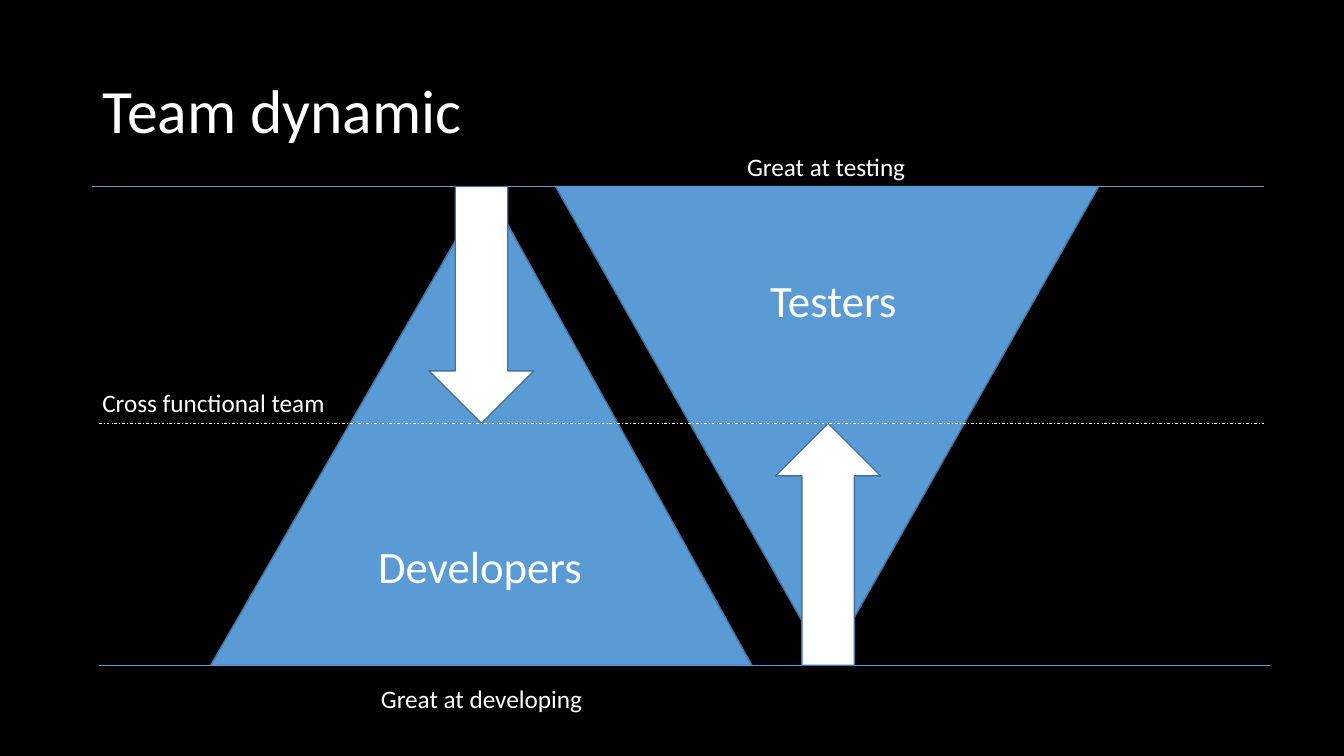
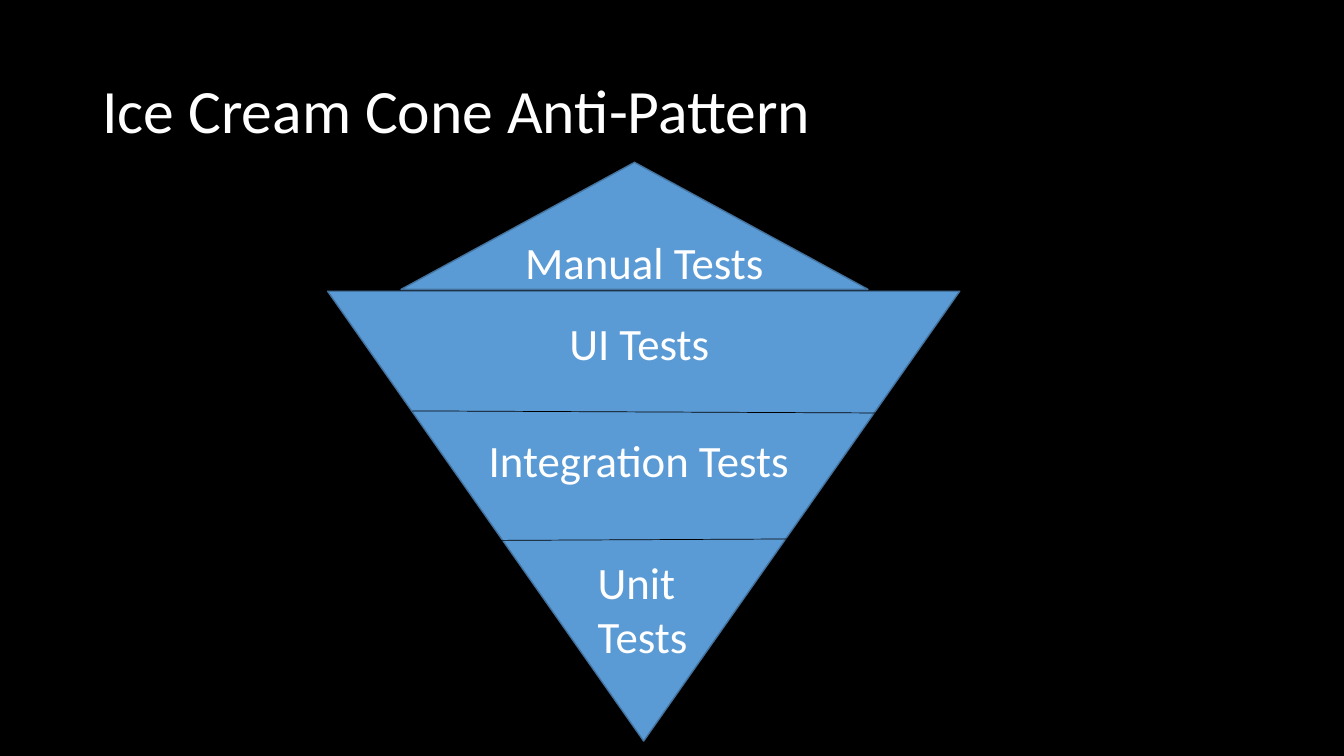
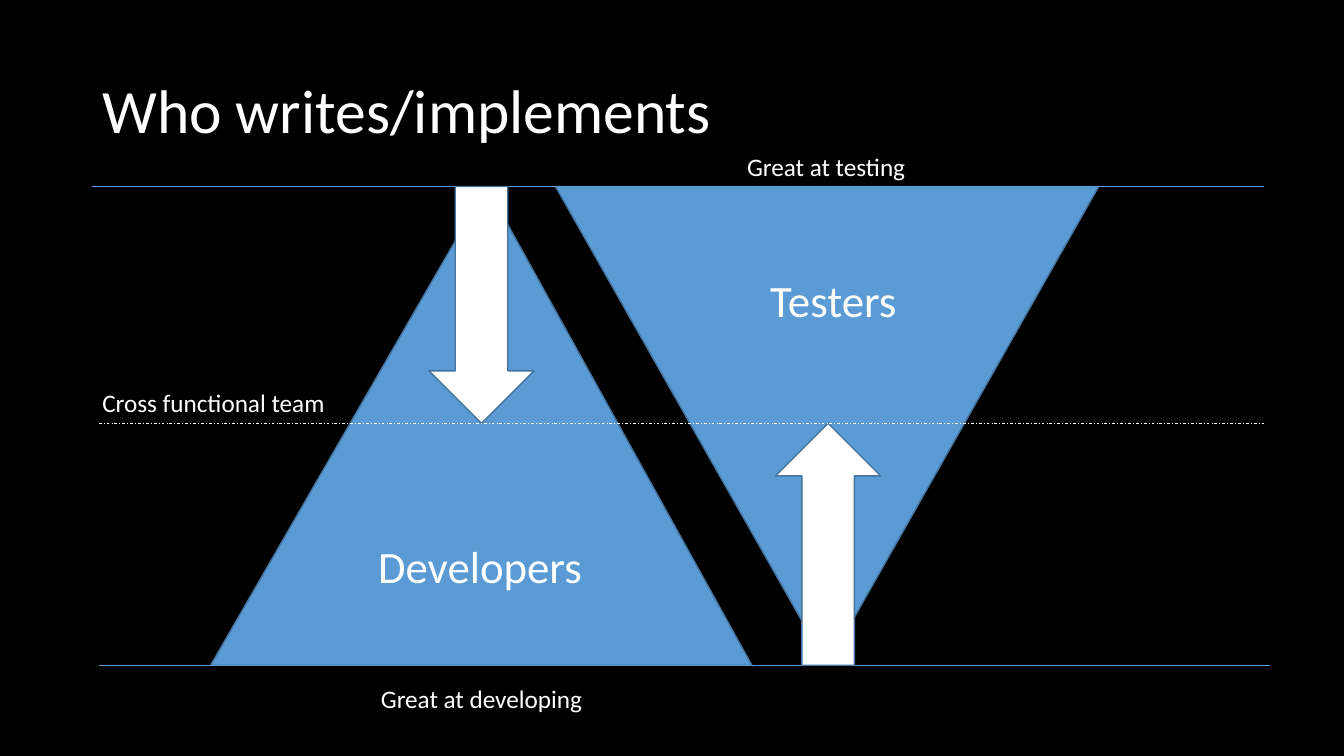
import pptx
import pptx.util
import pptx.dml.color
import pptx.enum.dml
import pptx.enum.shapes
import pptx.enum.text
import pptx.oxml.ns
import lxml.etree

Pt = pptx.util.Pt
KIND = pptx.enum.shapes.MSO_SHAPE
TEXT = pptx.enum.text
DASH = pptx.enum.dml.MSO_LINE.DASH_DOT
BLACK, WHITE, BLUE, EDGE = "000000", "FFFFFF", "5B9BD5", "43739E"
BIG, SMALL = 32, 18


def hue(code):
    return pptx.dml.color.RGBColor.from_string(code)


def put(thing, vals):
    for name, val in vals.items():
        setattr(thing, name, val)


class Deck:
    """Holds the shared style and the current slide."""
    font = "Calibri"
    head = {"left": Pt(66), "top": Pt(28.8), "width": Pt(828), "height": Pt(104.4)}

    def __init__(self):
        self.show = pptx.Presentation()
        put(self.show, {"slide_width": Pt(960), "slide_height": Pt(540)})
        fill = self.show.slide_master.background.fill
        fill.solid()
        fill.fore_color.rgb = hue(BLACK)
        self.slide = None

    def words(self, para, text, size, **form):
        para.text = text
        put(para, {"alignment": TEXT.PP_ALIGN.LEFT, **form})
        put(para.font, {"name": self.font, "size": Pt(size)})
        para.font.color.rgb = hue(WHITE)

    def page(self, title):
        self.slide = self.show.slides.add_slide(self.show.slide_layouts[5])
        box = self.slide.shapes.title
        put(box, self.head)
        put(box.text_frame, {"vertical_anchor": TEXT.MSO_ANCHOR.MIDDLE,
                             "word_wrap": True, "auto_size": TEXT.MSO_AUTO_SIZE.NONE})
        self.words(box.text_frame.paragraphs[0], title, 44, line_spacing=0.9)

    def shape(self, kind, left, top, wide, high, fill=BLUE, turn=0):
        item = self.slide.shapes.add_shape(kind, Pt(left), Pt(top), Pt(wide), Pt(high))
        item.rotation = turn
        item.shadow.inherit = False
        item.fill.solid()
        item.fill.fore_color.rgb = hue(fill)
        item.line.color.rgb = hue(EDGE)
        item.line.width = Pt(1)
        return item

    def line(self, left, top, right, low, color, dash=None):
        item = self.slide.shapes.add_connector(
            pptx.enum.shapes.MSO_CONNECTOR.STRAIGHT, Pt(left), Pt(top), Pt(right), Pt(low))
        item.line.color.rgb = hue(color)
        put(item.line, {"width": Pt(0.5), "dash_style": dash})
        props = item.element.spPr
        lxml.etree.SubElement(props, pptx.oxml.ns.qn("a:effectLst"))

    def label(self, left, top, wide, high, size, *rows):
        box = self.slide.shapes.add_textbox(Pt(left), Pt(top), Pt(wide), Pt(high))
        frame = box.text_frame
        put(frame, {"word_wrap": False, "auto_size": TEXT.MSO_AUTO_SIZE.SHAPE_TO_FIT_TEXT})
        for spot, row in enumerate(rows):
            para = frame.add_paragraph() if spot else frame.paragraphs[0]
            self.words(para, row, size)


def team(deck, title):
    """Two opposed triangles that meet at a middle line."""
    top, mid, low = 133.2, 302.4, 475.2
    deck.page(title)

    # Triangles
    devs = deck.shape(KIND.ISOSCELES_TRIANGLE, 150.5, top, 386.6, low - top)
    devs.adjustments[0] = 0.51
    deck.shape(KIND.ISOSCELES_TRIANGLE, 396.8, top, 388, low - top, turn=180)

    # Outer lines
    deck.line(66, top, 903, top, BLUE)
    deck.line(70.5, low, 907.5, low, BLUE)

    # Arrows and the line they point to
    deck.shape(KIND.DOWN_ARROW, 306.5, top, 75, mid - top, WHITE)
    deck.shape(KIND.DOWN_ARROW, 554, mid, 75, low - mid, WHITE, 180)
    deck.line(70.5, mid, 903, mid, WHITE, DASH)

    # Labels
    deck.label(543, 191.5, 106, 46, BIG, "Testers")
    deck.label(263, 381, 161, 46, BIG, "Developers")
    deck.label(265, 484.5, 160, 29, SMALL, "Great at developing")
    deck.label(526.5, 104.2, 129, 29, SMALL, "Great at testing")
    deck.label(66, 273, 175, 29, SMALL, "Cross functional team")


def cone(deck):
    """An upturned triangle in layers, with a cap."""
    deck.page("Ice Cream Cone Anti-Pattern")

    # Cone, cap and layer lines
    deck.shape(KIND.ISOSCELES_TRIANGLE, 234, 208, 451.5, 321.3, turn=180)
    deck.shape(KIND.ISOSCELES_TRIANGLE, 286.5, 116, 333.5, 90.7)
    deck.line(294.5, 293.5, 625, 295, BLACK)
    deck.line(358, 386, 564.5, 385, BLACK)

    # Labels
    deck.label(368, 164.2, 186.5, 46, BIG, "Manual Tests")
    deck.label(399.6, 222, 115, 46, BIG, "UI Tests")
    deck.label(342, 305.5, 231, 46, BIG, "Integration Tests")
    deck.label(419.8, 393, 79, 85, BIG, "Unit", "Tests")


def main():
    deck = Deck()
    team(deck, "Team dynamic")
    cone(deck)
    team(deck, "Who writes/implements")
    deck.show.save("out.pptx")


if __name__ == "__main__":
    main()
